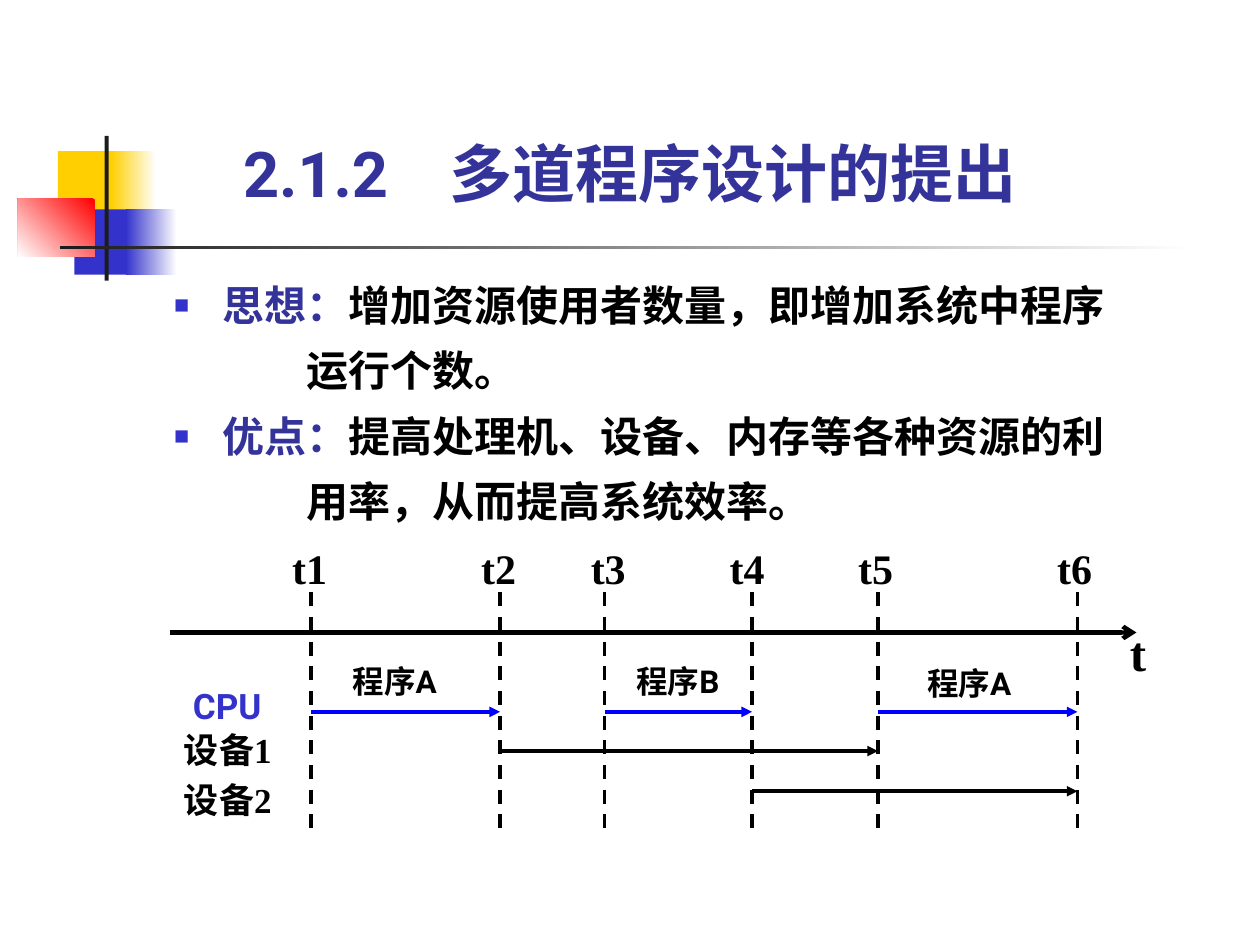
from dataclasses import dataclass

from lxml import etree
from pptx import Presentation
from pptx.dml.color import RGBColor
from pptx.enum.dml import MSO_LINE
from pptx.enum.shapes import MSO_CONNECTOR, MSO_SHAPE
from pptx.enum.text import MSO_ANCHOR, MSO_AUTO_SIZE, PP_ALIGN
from pptx.oxml.ns import qn
from pptx.util import Cm, Pt

RECT = MSO_SHAPE.RECTANGLE
STRAIGHT = MSO_CONNECTOR.STRAIGHT
DASH = MSO_LINE.DASH
LEFT = PP_ALIGN.LEFT
TOP, BOTTOM = MSO_ANCHOR.TOP, MSO_ANCHOR.BOTTOM
FIXED, GROW = MSO_AUTO_SIZE.NONE, MSO_AUTO_SIZE.SHAPE_TO_FIT_TEXT


@dataclass(frozen=True)
class Theme:
    sans: str = "Roboto"
    serif: str = "Times New Roman"
    white: str = "FFFFFF"
    black: str = "000000"
    charcoal: str = "1C1C1C"
    yellow: str = "FFCF01"
    red: str = "FF0000"
    blue: str = "3333CC"
    heading: str = "333399"
    arrow: str = "0000FF"
    title_size: int = 36
    axis_size: int = 28
    body_size: int = 24
    row_size: int = 20
    job_size: int = 18


T = Theme()

# Time mark: (x of dashed line, left of its label)
MARKS = {
    "t1": (6.27, 5.89), "t2": (10.08, 9.7), "t3": (12.19, 11.91),
    "t4": (15.16, 14.71), "t5": (17.7, 17.3), "t6": (21.72, 21.31),
}
MARK_TOP, MARK_BOTTOM = 11.94, 16.74
CPU_Y, DEVICE1_Y, DEVICE2_Y = 14.35, 15.14, 15.95

# (start, end, y, colour)
BUSY_SPANS = [
    ("t1", "t2", CPU_Y, T.arrow), ("t3", "t4", CPU_Y, T.arrow),
    ("t5", "t6", CPU_Y, T.arrow),
    ("t2", "t5", DEVICE1_Y, T.black), ("t4", "t6", DEVICE2_Y, T.black),
]
JOBS = [("程序A", 7.11, 13.34), ("程序B", 12.83, 13.34), ("程序A", 18.69, 13.39)]
POINTS = [
    ("思想：", "增加资源使用者数量，即增加系统中程序", "运行个数。"),
    ("优点：", "提高处理机、设备、内存等各种资源的利", "用率，从而提高系统效率。"),
]


def rgb(color):
    return RGBColor.from_string(color)


class SlideBuilder:
    def __init__(self, slide, theme):
        self.s = slide
        self.theme = theme

    def rect(self, box, start, end=None, angle=180):
        """Plain block, or a gradient from start to end (angle clockwise)."""
        sp = self.s.shapes.add_shape(RECT, *map(Cm, box))
        sp.shadow.inherit = False
        sp.line.fill.background()
        if end is None:
            sp.fill.solid()
            sp.fill.fore_color.rgb = rgb(start)
            return
        sp.fill.gradient()
        sp.fill.gradient_angle = 360 - angle
        for stop, color in zip(sp.fill.gradient_stops, (start, end)):
            stop.color.rgb = rgb(color)

    def line(self, x1, y1, x2, y2, color, width=2, head=None, dash=None):
        c = self.s.shapes.add_connector(STRAIGHT, Cm(x1), Cm(y1), Cm(x2), Cm(y2))
        c.line.color.rgb = rgb(color)
        c.line.width = Pt(width)
        if dash:
            c.line.dash_style = dash
        sp_pr = c._element.spPr
        if head:
            etree.SubElement(sp_pr.find(qn("a:ln")), qn("a:tailEnd"), type=head)
        etree.SubElement(sp_pr, qn("a:effectLst"))

    def frame(self, sp, box, anchor=TOP, size=GROW):
        sp.left, sp.top, sp.width, sp.height = map(Cm, box)
        tf = sp.text_frame
        tf.margin_left = tf.margin_top = tf.margin_right = tf.margin_bottom = 0
        tf.word_wrap = True
        tf.auto_size = size
        tf.vertical_anchor = anchor
        return tf

    def run(self, p, text, size, color, font):
        r = p.add_run()
        r.text = text
        r.font.size = Pt(size)
        r.font.name = font
        r.font.bold = True
        r.font.color.rgb = rgb(color)

    def label(self, text, box, size, color, font):
        sp = self.s.shapes.add_textbox(*map(Cm, box))
        self.run(self.frame(sp, box).paragraphs[0], text, size, color, font)

    def title(self, number, text, box, tab):
        """Section number and heading, parted by a tab stop."""
        t = self.theme
        p = self.frame(self.s.shapes.title, box, BOTTOM).paragraphs[0]
        p.alignment = LEFT
        tabs = etree.SubElement(p._p.get_or_add_pPr(), qn("a:tabLst"))
        etree.SubElement(tabs, qn("a:tab"), pos=str(Cm(tab)), algn="l")
        self.run(p, f"{number}\t{text}", t.title_size, t.heading, t.sans)

    def bullet(self, p_pr, hang):
        p_pr.set("marL", str(Cm(hang)))
        p_pr.set("indent", str(-Cm(hang)))
        color = etree.SubElement(p_pr, qn("a:buClr"))
        etree.SubElement(color, qn("a:srgbClr"), val=self.theme.blue)
        etree.SubElement(p_pr, qn("a:buSzPct"), val="60000")
        etree.SubElement(p_pr, qn("a:buChar"), char="■")

    def points(self, points, box, hang, indent):
        """Bulleted lines, each followed by an indented line without bullet."""
        t = self.theme
        tf = self.frame(self.s.placeholders[1], box, size=FIXED)
        for i, (lead, text, rest) in enumerate(points):
            first = tf.add_paragraph() if i else tf.paragraphs[0]
            second = tf.add_paragraph()
            self.bullet(first._p.get_or_add_pPr(), hang)
            p_pr = second._p.get_or_add_pPr()
            p_pr.set("marL", str(Cm(indent)))
            p_pr.set("indent", "0")
            etree.SubElement(p_pr, qn("a:buNone"))
            for p in (first, second):
                p.line_spacing = 1.3
                p.space_before = Pt(0)
            self.run(first, lead, t.body_size, t.heading, t.sans)
            self.run(first, text, t.body_size, t.black, t.sans)
            self.run(second, rest, t.body_size, t.black, t.sans)


def add_ornament(b):
    b.rect((1.17, 3.05, 1.22, 1.32), T.yellow)
    b.rect((2.24, 3.05, 0.91, 1.32), T.white, T.yellow)
    b.rect((1.5, 4.22, 1.17, 1.32), T.blue)
    b.rect((2.54, 4.22, 1.02, 1.32), T.white, T.blue)
    b.rect((0.36, 4.01, 1.55, 1.17), T.red, T.white, 135)
    b.rect((2.11, 2.74, 0.08, 2.92), T.charcoal)
    b.rect((1.22, 4.95, 22.86, 0.08), T.white, T.charcoal)


def add_timeline(b):
    b.line(3.43, 12.75, 22.91, 12.75, T.black, 2.5, head="arrow")
    b.label("t", (22.78, 12.55, 0.51, 1.19), T.axis_size, T.black, T.serif)
    for name, (x, left) in MARKS.items():
        b.line(x, MARK_TOP, x, MARK_BOTTOM, T.black, dash=DASH)
        b.label(name, (left, 10.94, 0.9, 1.02), T.body_size, T.black, T.serif)
    for start, end, y, color in BUSY_SPANS:
        b.line(MARKS[start][0], y, MARKS[end][0], y, color, head="triangle")
    for name, left, top in JOBS:
        b.label(name, (left, top, 2.3, 0.76), T.job_size, T.black, T.sans)
    b.label("CPU", (3.89, 13.79, 1.73, 0.84), T.row_size, T.blue, T.sans)
    for name, top in (("设备1", 14.68), ("设备2", 15.7)):
        b.label(name, (3.71, top, 2.18, 0.84), T.row_size, T.black, T.serif)


def main():
    prs = Presentation()
    prs.slide_width, prs.slide_height = Cm(25.4), Cm(19.05)
    b = SlideBuilder(prs.slides.add_slide(prs.slide_layouts[1]), T)
    add_ornament(b)
    b.title("2.1.2", "多道程序设计的提出", (4.9, 2.72, 15.9, 1.52), tab=4.17)
    b.points(POINTS, (3.51, 5.33, 19.41, 5.28), hang=0.97, indent=2.67)
    add_timeline(b)
    prs.save("out.pptx")


if __name__ == "__main__":
    main()
